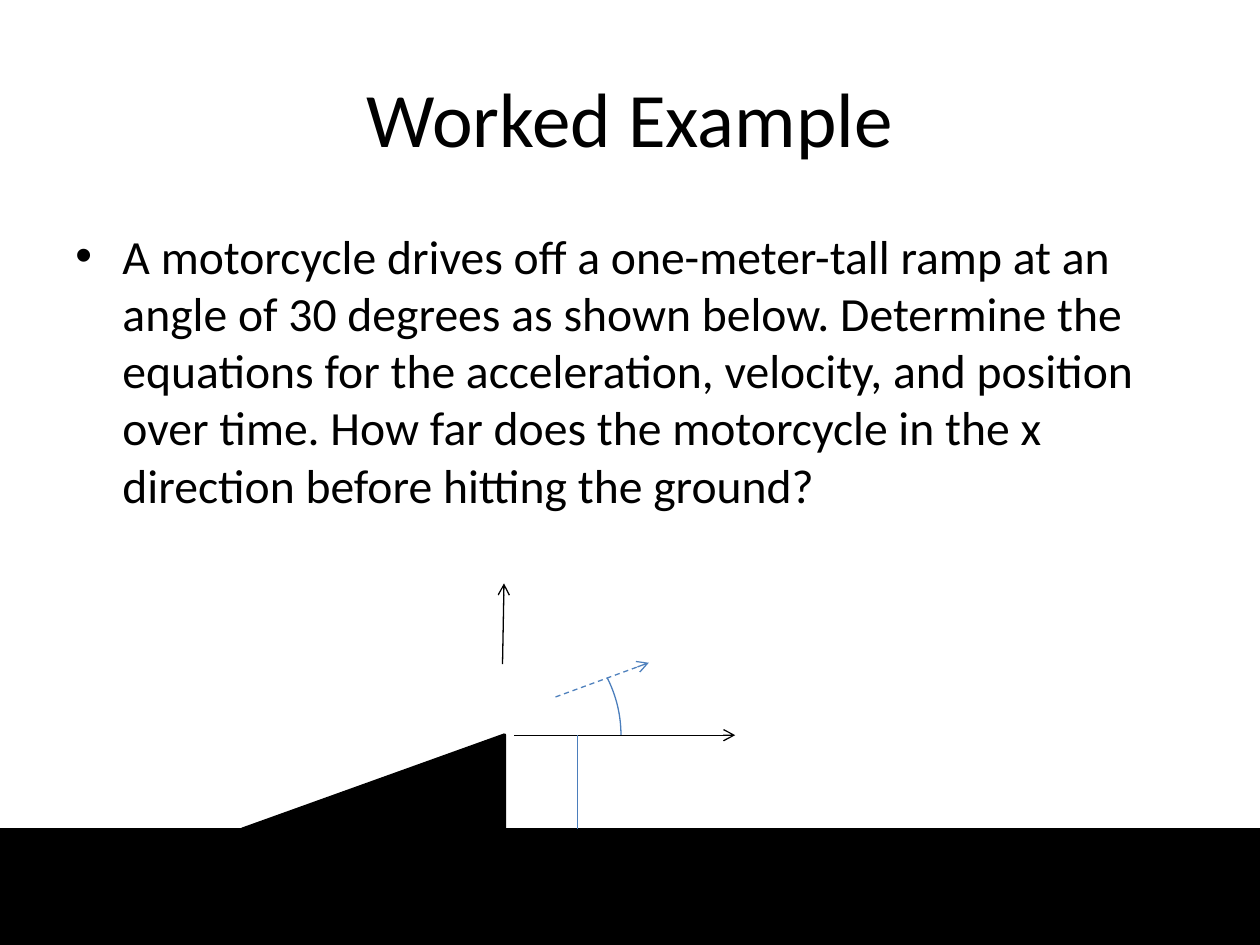
"""Build the projectile motion worked example slide."""
from dataclasses import dataclass

from lxml.etree import SubElement
from pptx import Presentation
from pptx.dml.color import RGBColor
from pptx.enum.dml import MSO_LINE
from pptx.enum.shapes import MSO_CONNECTOR, MSO_SHAPE
from pptx.enum.text import MSO_ANCHOR, PP_ALIGN
from pptx.oxml.ns import qn
from pptx.util import Cm, Pt


@dataclass(frozen=True)
class Theme:
    font: str = "Calibri"
    black: RGBColor = RGBColor(0x00, 0x00, 0x00)
    blue: RGBColor = RGBColor(0x4F, 0x81, 0xBD)
    arc_blue: RGBColor = RGBColor(0x4B, 0x7E, 0xBC)
    title: float = 44
    body: float = 27.2
    thin: float = 0.75
    thick: float = 2


theme = Theme()
prs = Presentation()
prs.slide_width, prs.slide_height = Cm(25.4), Cm(19.05)
s = prs.slides.add_slide(prs.slide_layouts[6])


def add_text(text, *, top, height, size, align=PP_ALIGN.LEFT, anchor=MSO_ANCHOR.TOP, bullet=None):
    tf = s.shapes.add_textbox(Cm(1.27), Cm(top), Cm(22.86), Cm(height)).text_frame
    tf.word_wrap = True
    tf.vertical_anchor = anchor
    p = tf.paragraphs[0]
    p.alignment = align
    if bullet:
        pPr = p._p.get_or_add_pPr()
        pPr.set("marL", str(Cm(0.95)))
        pPr.set("indent", str(-Cm(0.95)))
        SubElement(pPr, qn("a:buFont")).set("typeface", "Arial")
        SubElement(pPr, qn("a:buChar")).set("char", bullet)
    r = p.add_run()
    r.text = text
    r.font.name = theme.font
    r.font.size = Pt(size)
    r.font.color.rgb = theme.black


add_text("Worked Example", top=0.76, height=3.18, size=theme.title,
         align=PP_ALIGN.CENTER, anchor=MSO_ANCHOR.MIDDLE)
add_text("A motorcycle drives off a one-meter-tall ramp at an angle of 30 degrees as shown below. "
         "Determine the equations for the acceleration, velocity, and position over time. "
         "How far does the motorcycle in the x direction before hitting the ground?",
         top=4.45, height=6.35, size=theme.body, bullet="•")

ramp_top, ground_top = 14.82, 16.72
ramp = s.shapes.add_shape(MSO_SHAPE.ISOSCELES_TRIANGLE, Cm(4.88), Cm(ramp_top),
                          Cm(5.29), Cm(ground_top - ramp_top))
ramp.adjustments[0] = 1
ground = s.shapes.add_shape(MSO_SHAPE.RECTANGLE, 0, Cm(ground_top),
                            prs.slide_width, prs.slide_height - Cm(ground_top))
for sp in (ramp, ground):
    sp.shadow.inherit = False
    sp.fill.solid()
    sp.fill.fore_color.rgb = theme.black
    sp.line.color.rgb = theme.black
    sp.line.width = Pt(theme.thick)

arc = s.shapes.add_shape(MSO_SHAPE.ARC, Cm(7.44), Cm(12.28), Cm(5.08), Cm(5.08))
arc.adjustments[0], arc.adjustments[1] = 199.79, 0
arc.shadow.inherit = False
arc.fill.background()
arc.line.color.rgb = theme.arc_blue
arc.line.width = Pt(theme.thin)

x_axis = (10.37, ramp_top, 14.82, ramp_top)
velocity = (11.2, 14.05, 13.08, 13.36)
y_axis = (10.13, 13.39, 10.16, 11.76)
ramp_height = (11.64, ramp_top, 11.64, ground_top)
for ends, color, dash, arrow in (
    (x_axis, theme.black, None, True),
    (velocity, theme.blue, MSO_LINE.DASH, True),
    (y_axis, theme.black, None, True),
    (ramp_height, theme.arc_blue, None, False),
):
    line = s.shapes.add_connector(MSO_CONNECTOR.STRAIGHT, *map(Cm, ends))
    line.line.color.rgb = color
    line.line.width = Pt(theme.thin)
    if dash:
        line.line.dash_style = dash
    if arrow:
        SubElement(line.line._get_or_add_ln(), qn("a:tailEnd")).set("type", "arrow")
    SubElement(line._element.spPr, qn("a:effectLst"))

prs.save("out.pptx")
